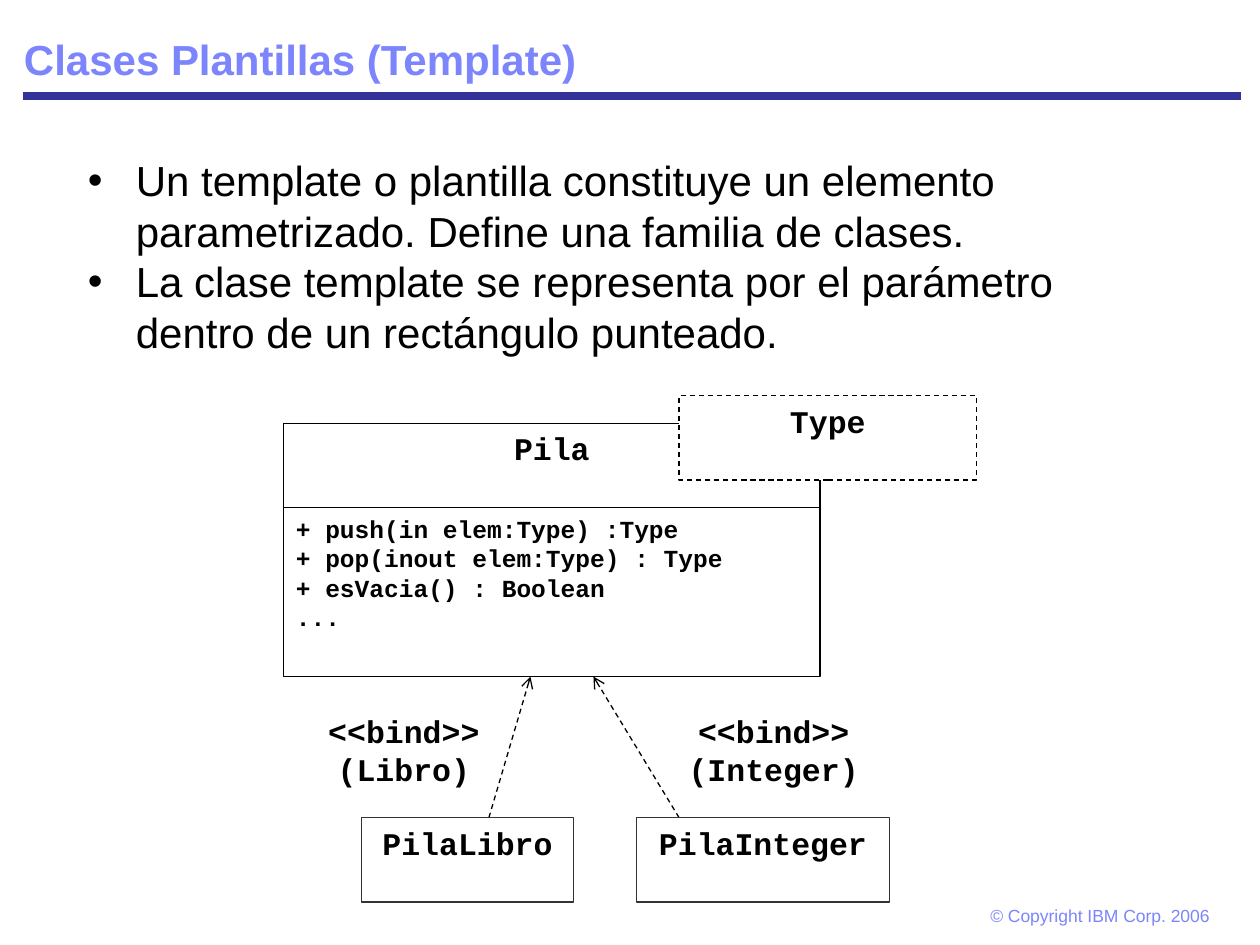
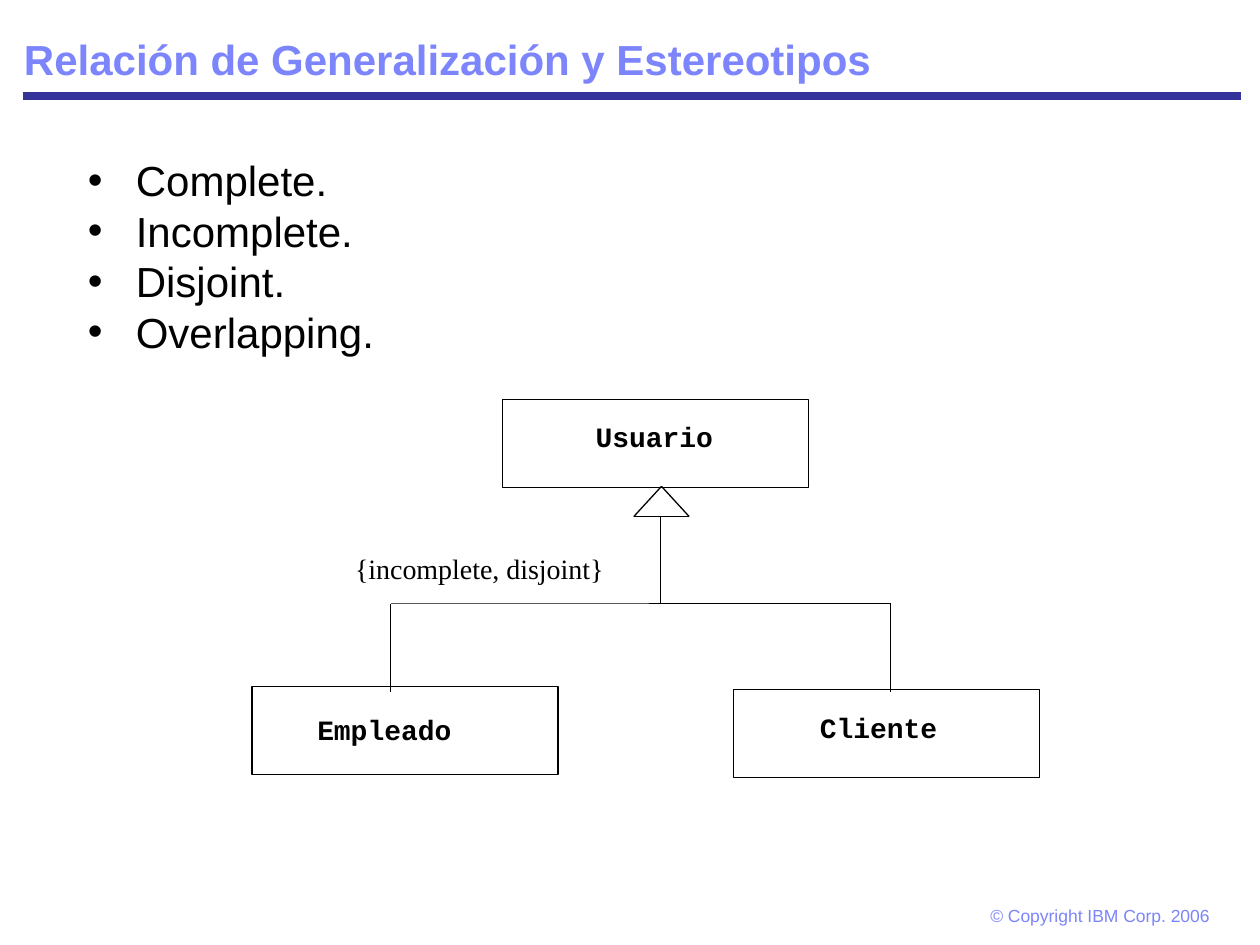
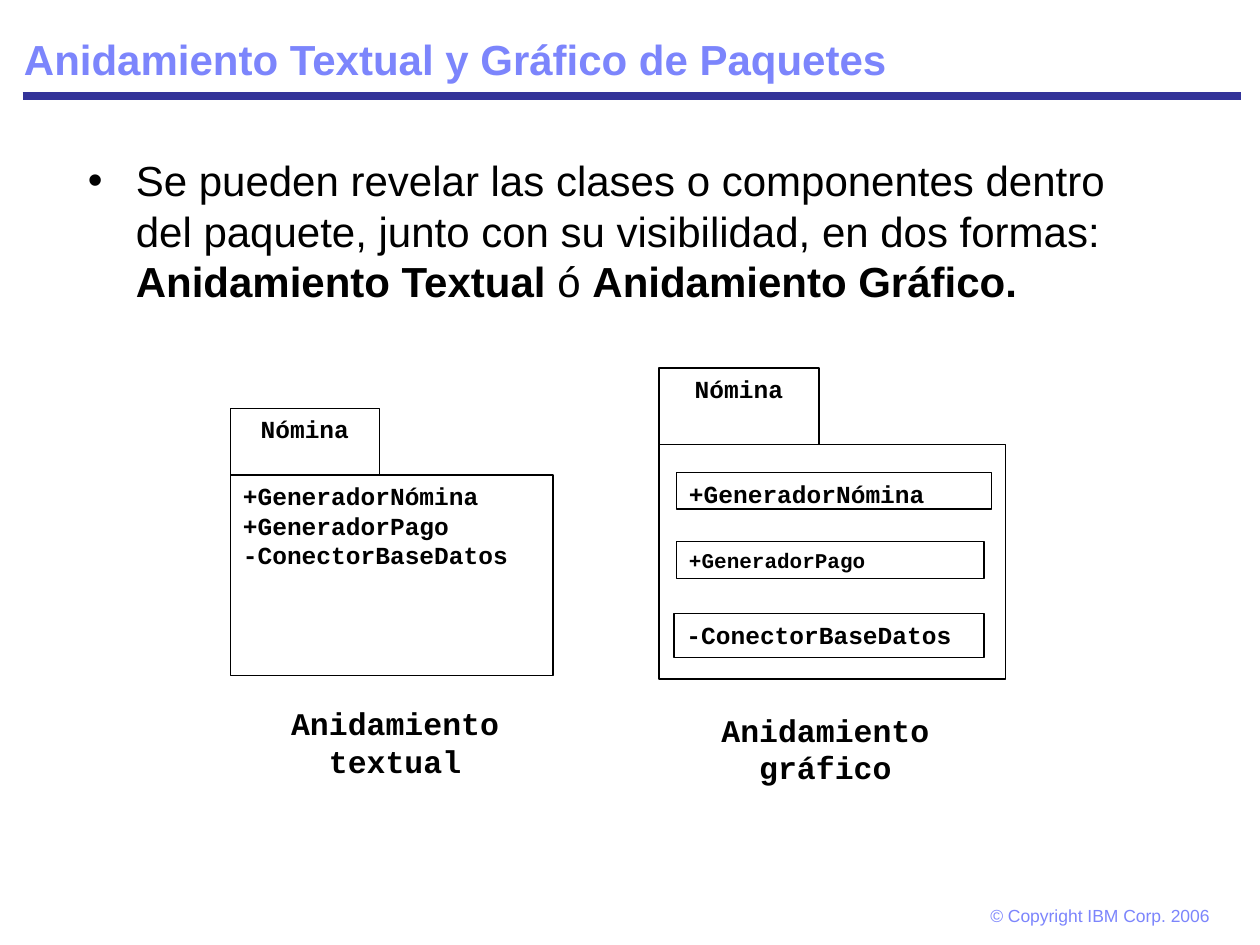
from lxml import etree
from pptx import Presentation, util as u
from pptx.dml.color import RGBColor
from pptx.enum import dml, shapes, text
from pptx.oxml.ns import qn

THEME = {
    "title": {"name": "Arial", "size": 24, "bold": True, "color": "7C85FC"},
    "body": {"name": "Arial", "size": 24, "bold": False, "color": "000000"},
    "footer": {"name": "Arial", "size": 10, "bold": False, "color": "7C85FC"},
    "label": {"name": "Courier New", "size": 18, "bold": True, "color": "000000"},
    "class": {"name": "Courier New", "size": 16, "bold": True, "color": "000000"},
    "member": {"name": "Courier New", "size": 14, "bold": True, "color": "000000"},
    "small": {"name": "Courier New", "size": 12, "bold": True, "color": "000000"},
    "constraint": {"name": "Times New Roman", "size": 16, "bold": False, "color": "000000"},
    "rule": "333399", "ink": "000000", "soft": "333333", "paper": "FFFFFF",
}
WIDTH, HEIGHT = 10, 7.5
RULE = ((0.18, 0.76), (9.85, 0.76))
TITLE_AREA = (0.09, 0.09, 9.8, 0.63)
BODY_AREA = (0.6, 1.18, 8.8, 5.38)
FOOTER_AREA = (7.71, 7.11, 2.04, 0.32)
FOOTER = "© Copyright IBM Corp. 2006"
INSETS = (0.1, 0.05, 0.1, 0.05)
INDENT = 0.38
CENTER = text.PP_ALIGN.CENTER

# Each paragraph is a list of (words, bold) runs.
TEMPLATE_POINTS = [
    [("Un template o plantilla constituye un elemento parametrizado. "
      "Define una familia de clases.", False)],
    [("La clase template se representa por el parámetro dentro de un "
      "rectángulo punteado.", False)],
]
STEREOTYPE_POINTS = [[(word, False)] for word in
                     ("Complete.", "Incomplete.", "Disjoint.", "Overlapping.")]
NESTING_POINTS = [[
    ("Se pueden revelar las clases o componentes dentro del paquete, junto con "
     "su visibilidad, en dos formas: ", False),
    ("Anidamiento Textual", True), (" ó ", False), ("Anidamiento Gráfico.", True),
]]
STACK_OPERATIONS = ["+ push(in elem:Type) :Type", "+ pop(inout elem:Type) : Type",
                    "+ esVacia() : Boolean", "..."]
PACKAGE_MEMBERS = ["+GeneradorNómina", "+GeneradorPago", "-ConectorBaseDatos"]

# name, left, width, binding, binding left, binding width, arrow from x, arrow to x
BOUND_CLASSES = [
    ("PilaLibro", 2.87, 1.68, "<<bind>> (Libro)", 2.2, 2.01, 3.88, 4.21),
    ("PilaInteger", 5.05, 2.01, "<<bind>> (Integer)", 4.88, 2.52, 5.39, 4.71),
]
# name, box left, box top, name left, name top
USER_CLASSES = [
    ("Usuario", 3.99, 3.17, 4.63, 3.28),
    ("Cliente", 5.82, 5.47, 6.41, 5.59),
    ("Empleado", 2, 5.45, 2.42, 5.61),
]
# left, top, width, height, text style
NESTED_BOXES = [
    (5.37, 3.75, 2.5, 0.29, "member"),
    (5.37, 4.3, 2.44, 0.29, "small"),
    (5.35, 4.87, 2.46, 0.35, "member"),
]


def color(value):
    return RGBColor.from_string(value)


def inches(values):
    return [u.Inches(value) for value in values]


def set_font(font, style, **changes):
    values = {**THEME[style], **changes}
    font.color.rgb = color(values.pop("color"))
    values["size"] = u.Pt(values["size"])
    for name, value in values.items():
        setattr(font, name, value)


def set_frame(frame, insets=INSETS, anchor=text.MSO_ANCHOR.TOP):
    left, top, right, bottom = inches(insets)
    settings = {"word_wrap": True, "auto_size": text.MSO_AUTO_SIZE.NONE,
                "vertical_anchor": anchor, "margin_left": left, "margin_top": top,
                "margin_right": right, "margin_bottom": bottom}
    for name, value in settings.items():
        setattr(frame, name, value)


def paragraphs_for(frame, items):
    """Yield a paragraph of the frame for each item."""
    for index, item in enumerate(items):
        yield (frame.add_paragraph() if index else frame.paragraphs[0]), item


def write(shape, lines, style, align=text.PP_ALIGN.LEFT, insets=INSETS):
    set_frame(shape.text_frame, insets)
    for paragraph, line in paragraphs_for(shape.text_frame, lines):
        paragraph.alignment = align
        run = paragraph.add_run()
        run.text = line
        set_font(run.font, style)


def add_label(slide, area, line, style, **layout):
    write(slide.shapes.add_textbox(*inches(area)), [line], style, **layout)


def add_box(slide, area, lines=(), style="label", fill=None, outline="ink",
            dashed=False, **layout):
    shape = slide.shapes.add_shape(shapes.MSO_SHAPE.RECTANGLE, *inches(area))
    shape.shadow.inherit = False
    if fill:
        shape.fill.solid()
        shape.fill.fore_color.rgb = color(THEME[fill])
    else:
        shape.fill.background()
    if outline:
        set_line(shape.line, outline, 0.75, dashed)
    else:
        shape.line.fill.background()
    if lines:
        write(shape, lines, style, **layout)


def set_line(line, ink, width, dashed):
    line.color.rgb = color(THEME[ink])
    line.width = u.Pt(width)
    if dashed:
        line.dash_style = dml.MSO_LINE.DASH


def add_line(slide, start, end, ink="ink", width=0.75, dashed=False, arrow=False):
    connector = slide.shapes.add_connector(
        shapes.MSO_CONNECTOR.STRAIGHT, *inches((*start, *end)))
    set_line(connector.line, ink, width, dashed)
    if arrow:
        etree.SubElement(connector.line._get_or_add_ln(), qn("a:tailEnd"), type="arrow")
    etree.SubElement(connector._element.spPr, qn("a:effectLst"))


def add_points(slide, points):
    frame = slide.shapes.add_textbox(*inches(BODY_AREA)).text_frame
    set_frame(frame)
    for paragraph, runs in paragraphs_for(frame, points):
        properties = paragraph._p.get_or_add_pPr()
        properties.set("marL", str(u.Inches(INDENT)))
        properties.set("indent", str(-u.Inches(INDENT)))
        bullet_color = etree.SubElement(properties, qn("a:buClr"))
        etree.SubElement(bullet_color, qn("a:srgbClr"), val=THEME["ink"])
        etree.SubElement(properties, qn("a:buFont"), typeface="Arial")
        etree.SubElement(properties, qn("a:buChar"), char="•")
        for words, bold in runs:
            run = paragraph.add_run()
            run.text = words
            set_font(run.font, "body", bold=bold)


def add_title(slide, words):
    title = slide.shapes.title
    title.left, title.top, title.width, title.height = inches(TITLE_AREA)
    title.text = words
    set_frame(title.text_frame, anchor=text.MSO_ANCHOR.BOTTOM)
    paragraph = title.text_frame.paragraphs[0]
    paragraph.alignment = text.PP_ALIGN.LEFT
    paragraph.line_spacing = 0.9
    set_font(paragraph.runs[0].font, "title")


def draw_template_class(slide):
    left, top, width, name_height = 2.25, 3.36, 4.26, 0.67
    body_top, body_height, bound_top = top + name_height, 2 * name_height, 6.49
    add_box(slide, (left, top, width, name_height), ["Pila"], fill="paper", align=CENTER)
    add_box(slide, (5.39, 3.14, 2.36, name_height), ["Type"], fill="paper",
            dashed=True, align=CENTER)
    add_box(slide, (left, body_top, width, body_height), STACK_OPERATIONS, "member")
    for name, x, w, binding, binding_x, binding_w, start_x, end_x in BOUND_CLASSES:
        add_line(slide, (start_x, bound_top), (end_x, body_top + body_height),
                 dashed=True, arrow=True)
        add_box(slide, (x, bound_top, w, name_height), [name], outline="soft", align=CENTER)
        add_label(slide, (binding_x, 5.6, binding_w, 0.89), binding, "label", align=CENTER)


def draw_generalization(slide):
    branch_y, child_y, left_x, right_x = 4.79, 5.49, 3.1, 7.07
    tip, base_left, base_right = (5.25, 3.86), (5.03, 4.1), (5.47, 4.1)
    for _, x, y, _, _ in USER_CLASSES:
        add_box(slide, (x, y, 2.43, 0.7), fill="paper")
    for start, end in [
        ((left_x, child_y), (left_x, branch_y)),
        ((right_x, child_y), (right_x, branch_y)),
        ((left_x, branch_y), (right_x, branch_y)),
        (tip, base_left), (base_left, base_right), (tip, base_right),
        ((5.24, 4.1), (5.24, branch_y)),
    ]:
        add_line(slide, start, end)
    for name, _, _, x, y in USER_CLASSES:
        add_label(slide, (x, y, 1.54, 0.46), name, "class")
    add_box(slide, (2.72, 4.33, 2.43, 0.46), ["{incomplete, disjoint}"], "constraint",
            fill="paper", outline=None)


def add_package(slide, left, top, tab_size, body_size, members=()):
    add_box(slide, (left, top, *tab_size), ["Nómina"], "member", align=CENTER,
            insets=(0.1, 0.05, 0.1, 0))
    add_box(slide, (left, top + tab_size[1], *body_size), members, "member")


def draw_packages(slide):
    add_label(slide, (1.99, 5.54, 2.29, 0.8), "Anidamiento textual", "label", align=CENTER)
    add_package(slide, 1.83, 3.24, (1.18, 0.53), (2.56, 1.59), PACKAGE_MEMBERS)
    add_label(slide, (5.39, 5.59, 2.32, 0.74), "Anidamiento gráfico", "label", align=CENTER)
    add_package(slide, 5.23, 2.92, (1.27, 0.61), (2.75, 1.86))
    for member, (*area, style) in zip(PACKAGE_MEMBERS, NESTED_BOXES):
        add_box(slide, area, [member], style, insets=(0.1, 0.05, 0, 0.05))


SLIDES = [
    ("Clases Plantillas (Template)", TEMPLATE_POINTS, draw_template_class),
    ("Relación de Generalización y Estereotipos", STEREOTYPE_POINTS, draw_generalization),
    ("Anidamiento Textual y Gráfico de Paquetes", NESTING_POINTS, draw_packages),
]


def main():
    presentation = Presentation()
    presentation.slide_width, presentation.slide_height = inches((WIDTH, HEIGHT))
    for title, points, draw in SLIDES:
        slide = presentation.slides.add_slide(presentation.slide_layouts[5])
        add_line(slide, *RULE, ink="rule", width=4.5)
        add_label(slide, FOOTER_AREA, FOOTER, "footer", insets=(0.15, 0.07, 0.15, 0.07))
        draw(slide)
        add_title(slide, title)
        add_points(slide, points)
    presentation.save("out.pptx")


if __name__ == "__main__":
    main()
